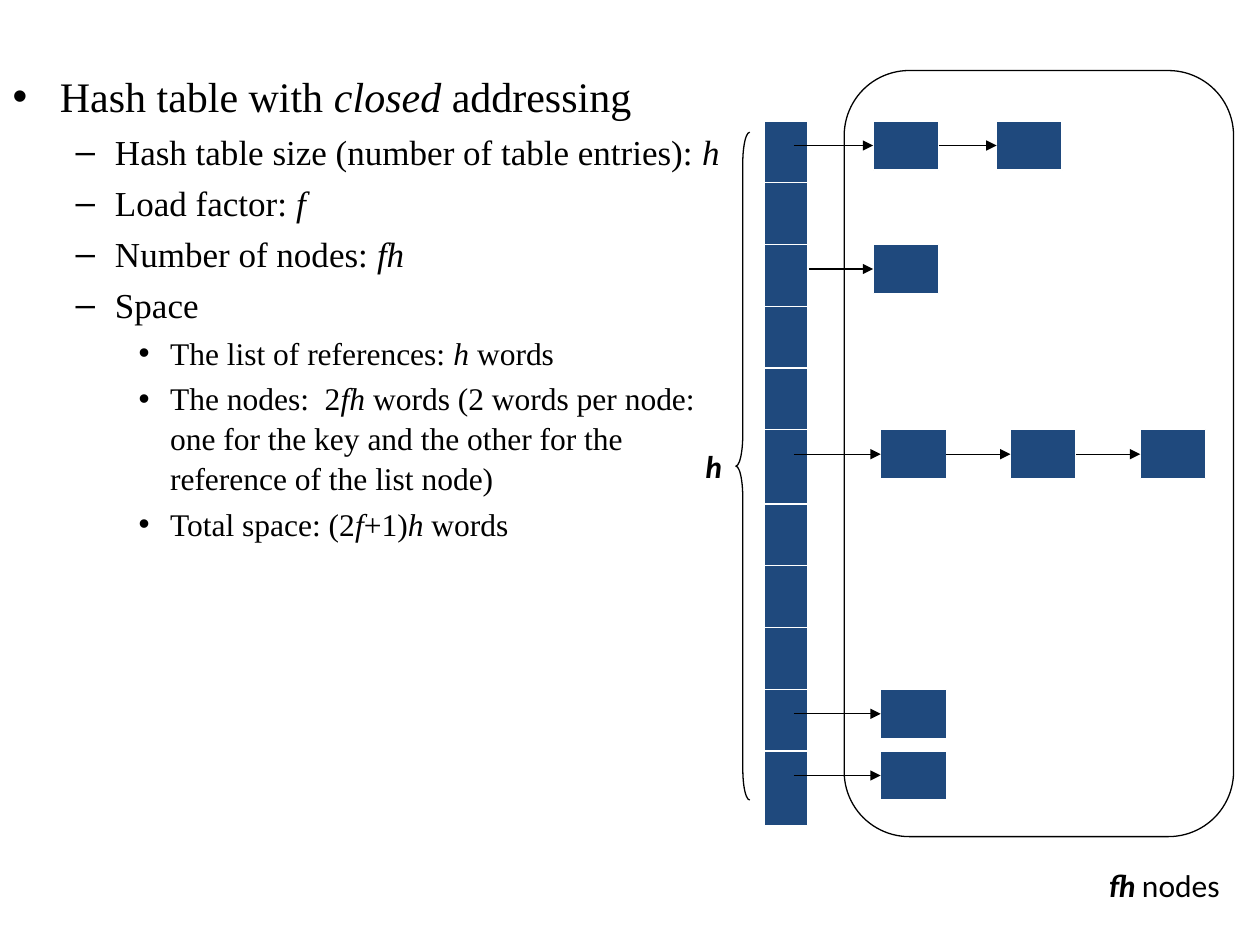
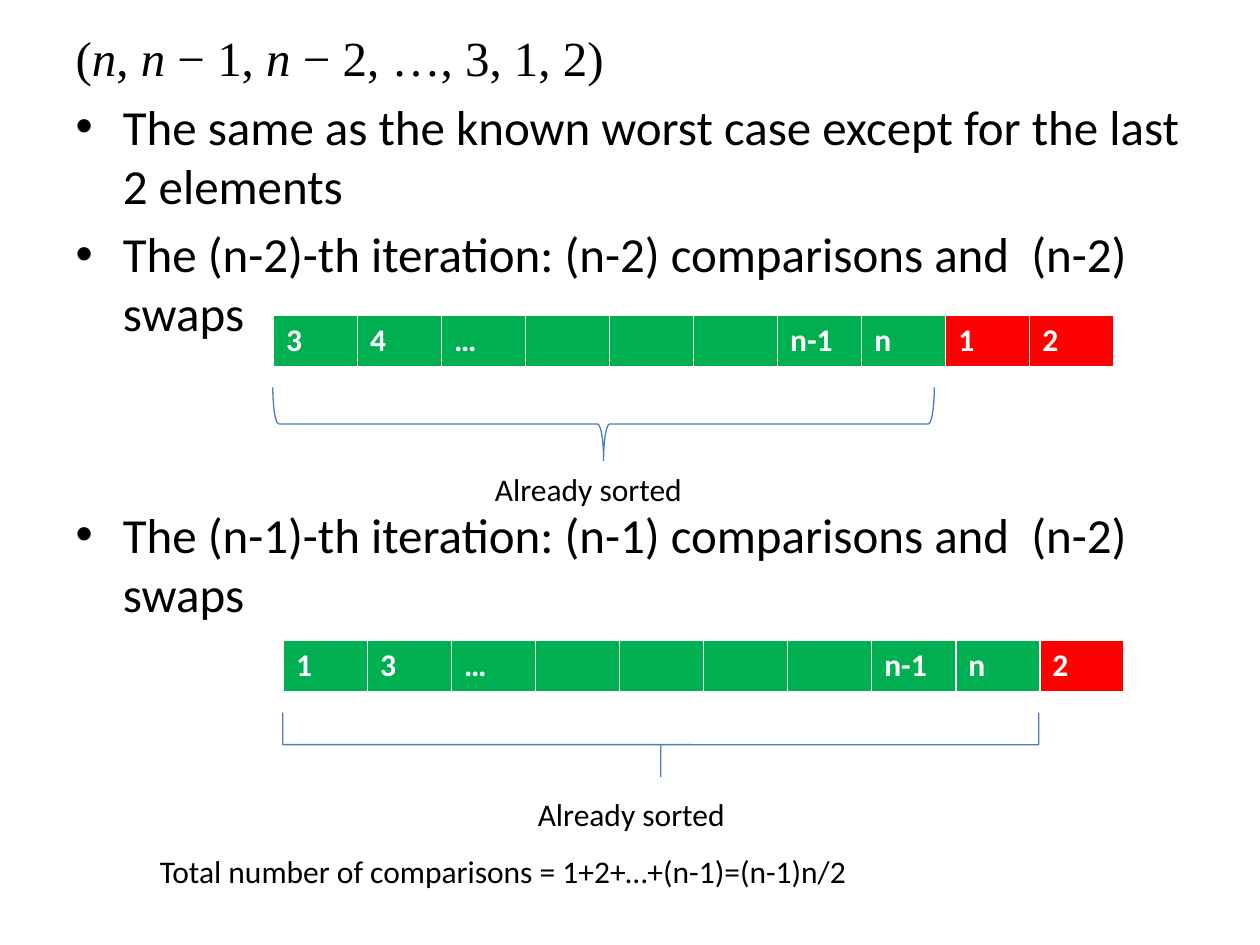
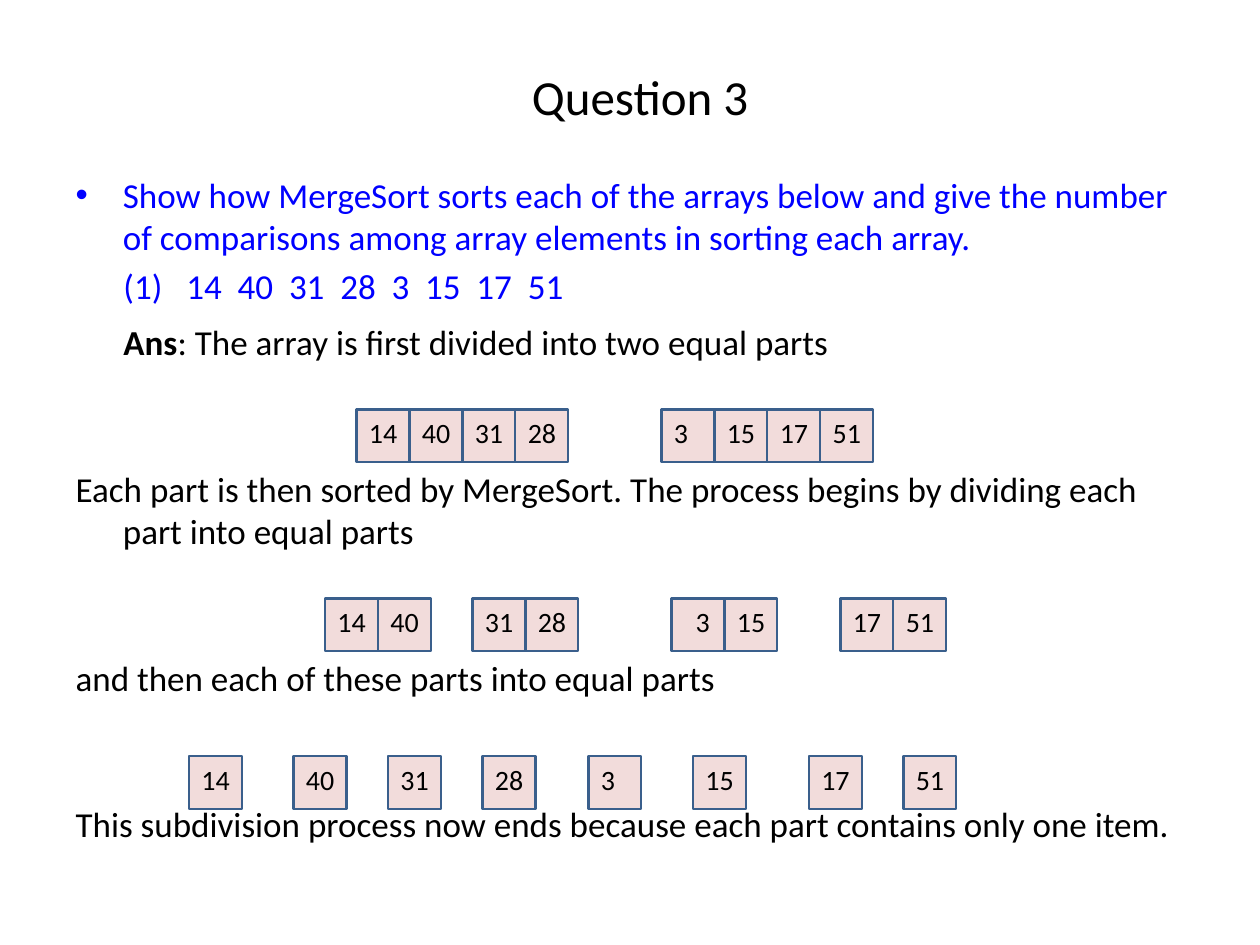
from lxml.etree import SubElement
from pptx import Presentation
from pptx.dml.color import RGBColor
from pptx.enum.shapes import MSO_CONNECTOR, MSO_SHAPE
from pptx.enum.text import MSO_ANCHOR, MSO_AUTO_SIZE, PP_ALIGN
from pptx.oxml.ns import qn
from pptx.util import Inches, Pt

COLOURS = {
    "text": "000000", "question": "0000FF", "white": "FFFFFF",
    "node": "1F497D", "sorted": "00B050", "unsorted": "FF0000",
    "brace": "4B7EBC", "cell": "F2DCDB", "cell_edge": "3A5F8C",
}
SERIF, SANS = "Times New Roman", "Calibri"
ITALIC, BOLD = {"italic": True}, {"bold": True}
LEFT_SIDE, RIGHT_SIDE = 1, 3

SLOT = 0.49
COLUMN_LEFT, COLUMN_TOP, COLUMN_WIDTH, COLUMN_HEIGHT = 6.07, 0.96, 0.34, 5.59
NODE_WIDTH, NODE_HEIGHT = 0.52, 0.39
# top of the chain, start of its first arrow, left edges of its nodes
CHAINS = [
    (0.96, 6.3, [6.93, 7.91]),
    (1.94, 6.42, [6.93]),
    (3.41, 6.3, [6.99, 8.02, 9.05]),
    (5.47, 6.3, [6.99]),
    (5.96, 6.3, [6.99]),
]

CELL = 0.42
# top of the row, then left edge and values of each part
DIVISIONS = [
    (3.25, [(2.83, "14 40 31 28"), (5.25, "3 15 17 51")]),
    (4.75, [(2.58, "14 40"), (3.75, "31 28"), (5.33, "3 15"), (6.67, "17 51")]),
    (6.0, [(1.5, "14"), (2.33, "40"), (3.08, "31"), (3.83, "28"),
           (4.67, "3"), (5.5, "15"), (6.42, "17"), (7.17, "51")]),
]


def rgb(name):
    return RGBColor.from_string(COLOURS[name])


def inches(*lengths):
    return [Inches(length) for length in lengths]


def set_all(target, values):
    for name, value in values.items():
        setattr(target, name, value)


def write(para, text, size, font=SANS, colour="text", emphasis=ITALIC, **extra):
    """Fill a paragraph; parts between asterisks take the emphasis."""
    for index, part in enumerate(text.split("*")):
        if not part:
            continue
        span = para.add_run()
        span.text = part
        values = {"name": font, "size": Pt(size), **extra}
        if index % 2:
            values.update(emphasis)
        set_all(span.font, values)
        span.font.color.rgb = rgb(colour)


def place(shape, at):
    set_all(shape, dict(zip(("left", "top", "width", "height"), inches(*at))))


def add_page(deck, title=None):
    page = deck.slides.add_slide(deck.slide_layouts[1])
    heading = page.shapes.title
    if title is None:
        heading.element.getparent().remove(heading.element)
        return page
    place(heading, (0.58, 0.58, 9, 0.37))
    heading.text_frame.auto_size = MSO_AUTO_SIZE.NONE
    write(heading.text_frame.paragraphs[0], title, 28)
    return page


def fill_body(page, at, items, line_spacing=None):
    """Write (text, paragraph options, text options) items in the body."""
    body = page.placeholders[1]
    place(body, at)
    frame = body.text_frame
    frame.auto_size = MSO_AUTO_SIZE.NONE
    for index, (text, layout, style) in enumerate(items):
        para = frame.add_paragraph() if index else frame.paragraphs[0]
        para.level = layout.get("level", 0)
        properties = para._p.get_or_add_pPr()
        if not layout.get("bullet", True):
            SubElement(properties, qn("a:buNone"))
        if layout.get("flush"):
            properties.set("marL", str(Inches(0.38)))
            properties.set("indent", "0")
        if index == 0:
            para.space_before = Pt(0)
        elif "before" in layout:
            para.space_before = Pt(layout["before"])
        if line_spacing:
            para.line_spacing = line_spacing
        write(para, text, **style)


def add_outline(page, kind, at, fill=None, line="text", weight=0.75,
                adjustments=(), rotation=0):
    shape = page.shapes.add_shape(kind, *inches(*at))
    shape.shadow.inherit = False
    if fill:
        shape.fill.solid()
        shape.fill.fore_color.rgb = rgb(fill)
    else:
        shape.fill.background()
    shape.line.color.rgb = rgb(line)
    shape.line.width = Pt(weight)
    for index, value in enumerate(adjustments):
        shape.adjustments[index] = value
    shape.rotation = rotation
    return shape


def add_line(page, start, end, colour, arrow=False):
    line = page.shapes.add_connector(
        MSO_CONNECTOR.STRAIGHT, *inches(*start, *end))
    line.line.color.rgb = rgb(colour)
    line.line.width = Pt(0.75)
    properties = line._element.spPr
    if arrow:
        SubElement(properties.find(qn("a:ln")), qn("a:tailEnd"), type="triangle")
    SubElement(properties, qn("a:effectLst"))
    return line


def add_label(page, at, text, wrap=True, anchor=MSO_ANCHOR.TOP, emphasis=ITALIC):
    box = page.shapes.add_textbox(*inches(*at))
    set_all(box.text_frame, {"word_wrap": wrap, "vertical_anchor": anchor})
    write(box.text_frame.paragraphs[0], text, 18, emphasis=emphasis)


def add_hash_column(page):
    add_outline(page, MSO_SHAPE.RECTANGLE,
                (COLUMN_LEFT, COLUMN_TOP, COLUMN_WIDTH, COLUMN_HEIGHT),
                "node", "white")
    upper = [COLUMN_TOP + SLOT * slot for slot in range(1, 6)]
    lower = [4 + SLOT * slot for slot in range(5)]
    for top in upper + lower:
        add_line(page, (COLUMN_LEFT, top),
                 (COLUMN_LEFT + COLUMN_WIDTH, top), "white")


def add_chain(page, top, start, lefts):
    middle = top + NODE_HEIGHT / 2
    previous = None
    for left in lefts:
        node = add_outline(page, MSO_SHAPE.RECTANGLE,
                           (left, top, NODE_WIDTH, NODE_HEIGHT), "node", "white")
        arrow = add_line(page, (start, middle), (left, middle), "text", arrow=True)
        if previous:
            arrow.begin_connect(previous, RIGHT_SIDE)
        arrow.end_connect(node, LEFT_SIDE)
        previous, start = node, left + NODE_WIDTH


def add_array_table(page, left, top, values, sorted_count):
    frame = page.shapes.add_table(1, len(values), *inches(left, top, 6.67, 0.41))
    table = frame.table
    table.horz_banding = False
    for index, value in enumerate(values):
        cell = table.cell(0, index)
        cell.fill.solid()
        cell.fill.fore_color.rgb = rgb(
            "sorted" if index < sorted_count else "unsorted")
        write(cell.text_frame.paragraphs[0], value, 18, colour="white", bold=True)


def add_part(page, left, top, values):
    """Draw one part of the array as a run of touching cells."""
    for index, value in enumerate(values.split()):
        cell = add_outline(page, MSO_SHAPE.RECTANGLE,
                           (left + CELL * index, top, CELL, CELL),
                           "cell", "cell_edge", 1.25)
        inset = 0.19 if (value, top) == ("3", 4.75) else 0.1
        set_all(cell.text_frame, {
            "margin_left": Inches(inset), "margin_right": 0,
            "margin_top": Inches(0.05), "vertical_anchor": MSO_ANCHOR.TOP,
            "word_wrap": True})
        para = cell.text_frame.paragraphs[0]
        para.alignment = PP_ALIGN.LEFT
        write(para, value, 16)


def build_hash_table(deck):
    page = add_page(deck)
    lines = [
        (0, "Hash table with *closed* addressing"),
        (1, "Hash table size (number of table entries): *h*"),
        (1, "Load factor: *f*"),
        (1, "Number of nodes: *fh*"),
        (1, "Space"),
        (2, "The list of references: *h* words"),
        (2, "The nodes:  2*fh *words (2 words per node: one for the key "
            "and the other for the reference of the list node)"),
        (2, "Total space: (2*f*+1)*h* words"),
    ]
    sizes = (24, 20, 18)
    fill_body(page, (0, 0.49, 5.84, 6.67),
              [(text, {"level": level}, {"size": sizes[level], "font": SERIF})
               for level, text in lines], line_spacing=1.05)
    add_hash_column(page)
    for chain in CHAINS:
        add_chain(page, *chain)
    add_outline(page, MSO_SHAPE.LEFT_BRACE, (5.84, 1.05, 0.11, 5.3),
                adjustments=(2.25, 0.5))
    add_outline(page, MSO_SHAPE.ROUNDED_RECTANGLE, (6.7, 0.56, 3.09, 6.08),
                adjustments=(0.167,))
    for at, text in (((5.5, 3.5, 0.34, 0.4), "*h*"),
                     ((8.7, 6.82, 1.1, 0.4), "*fh* nodes")):
        add_label(page, at, text, wrap=False, anchor=MSO_ANCHOR.MIDDLE,
                  emphasis={**BOLD, **ITALIC})


def build_insertion_sort(deck):
    page = add_page(deck)
    style = {"size": 28}
    fill_body(page, (0.5, 0.17, 9, 6.83), [
        ("(*n*, *n* − 1, *n* − 2, …, 3, 1, 2)", {"bullet": False},
         {"size": 28, "font": SERIF}),
        ("The same as the known worst case except for the last 2 elements",
         {}, style),
        ("The (n-2)-th iteration: (n-2) comparisons and  (n-2) swaps", {}, style),
        ("The (n-1)-th iteration: (n-1) comparisons and  (n-2) swaps",
         {"before": 93}, style),
    ])
    add_array_table(page, 2.17, 2.5,
                    ["3", "4", "…", "", "", "", "n-1", "n", "1", "2"], 8)
    add_outline(page, MSO_SHAPE.RIGHT_BRACE, (4.5, 0.74, 0.58, 5.25),
                line="brace", rotation=90)
    add_label(page, (3.83, 3.68, 2.5, 0.4), "Already sorted")
    add_array_table(page, 2.25, 5.08,
                    ["1", "3", "…", "", "", "", "", "n-1", "n", "2"], 9)
    add_outline(page, MSO_SHAPE.RIGHT_BRACE, (4.99, 2.91, 0.51, 6),
                line="brace", adjustments=(0, 0.5), rotation=90)
    add_label(page, (4.17, 6.26, 2.5, 0.4), "Already sorted")
    add_label(page, (1.17, 6.71, 6.67, 0.4),
              "Total number of comparisons = 1+2+…+(n-1)=(n-1)n/2")


def build_merge_sort(deck):
    page = add_page(deck, "Question 3")
    question = {"size": 20, "colour": "question"}
    answer = {"size": 20, "emphasis": BOLD}
    fill_body(page, (0.5, 1.33, 8.92, 5.75), [
        ("Show how MergeSort sorts each of the arrays below and give the number "
         "of comparisons among array elements in sorting each array.",
         {}, question),
        ("(1) \t14  40  31  28  3  15  17  51",
         {"bullet": False, "flush": True}, question),
        ("*Ans*: The array is first divided into two equal parts",
         {"bullet": False, "flush": True, "before": 8}, answer),
        ("Each part is then sorted by MergeSort. The process begins by dividing "
         "each part into equal parts", {"bullet": False, "before": 60}, answer),
        ("and then each of these parts into equal parts",
         {"bullet": False, "before": 59.5}, answer),
        ("This subdivision process now ends because each part contains only "
         "one item.", {"bullet": False, "before": 59.5}, answer),
    ])
    for top, parts in DIVISIONS:
        for left, values in parts:
            add_part(page, left, top, values)


def main():
    deck = Presentation()
    deck.slide_width, deck.slide_height = inches(10, 7.5)
    build_hash_table(deck)
    build_insertion_sort(deck)
    build_merge_sort(deck)
    deck.save("out.pptx")


if __name__ == "__main__":
    main()
